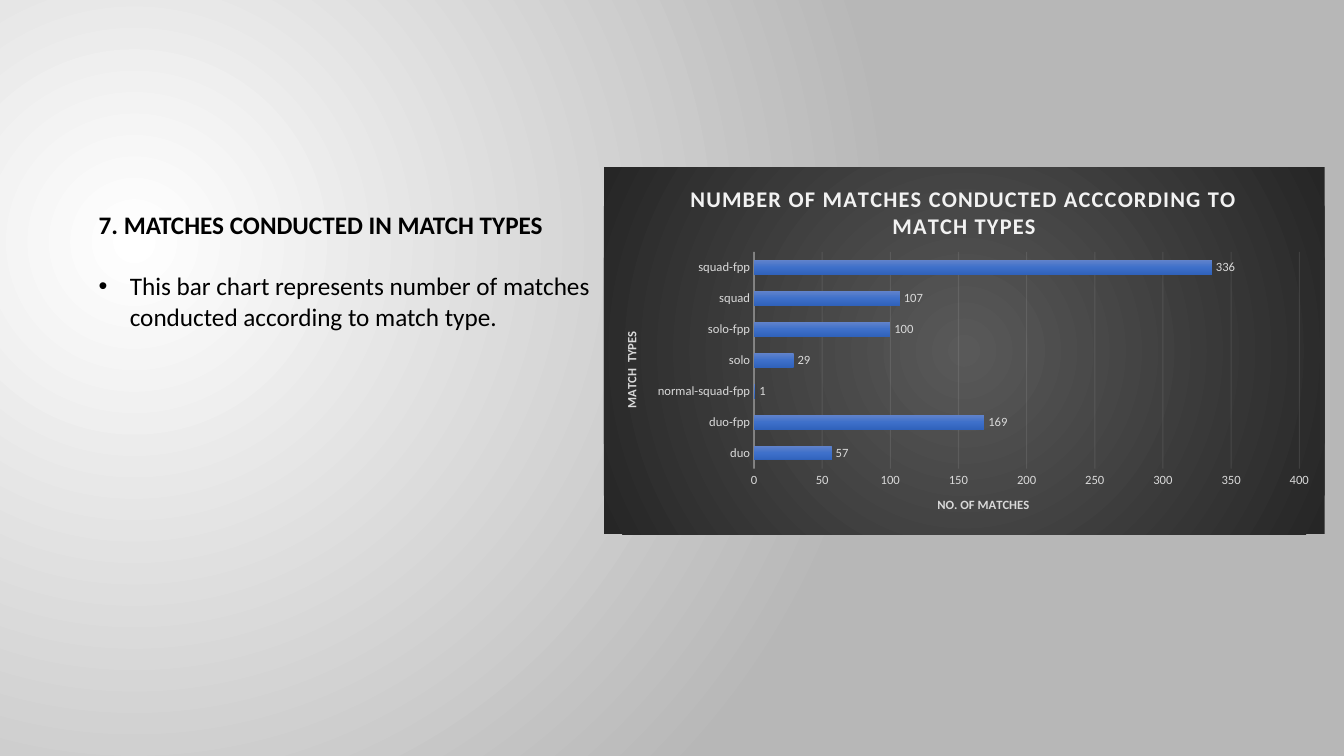
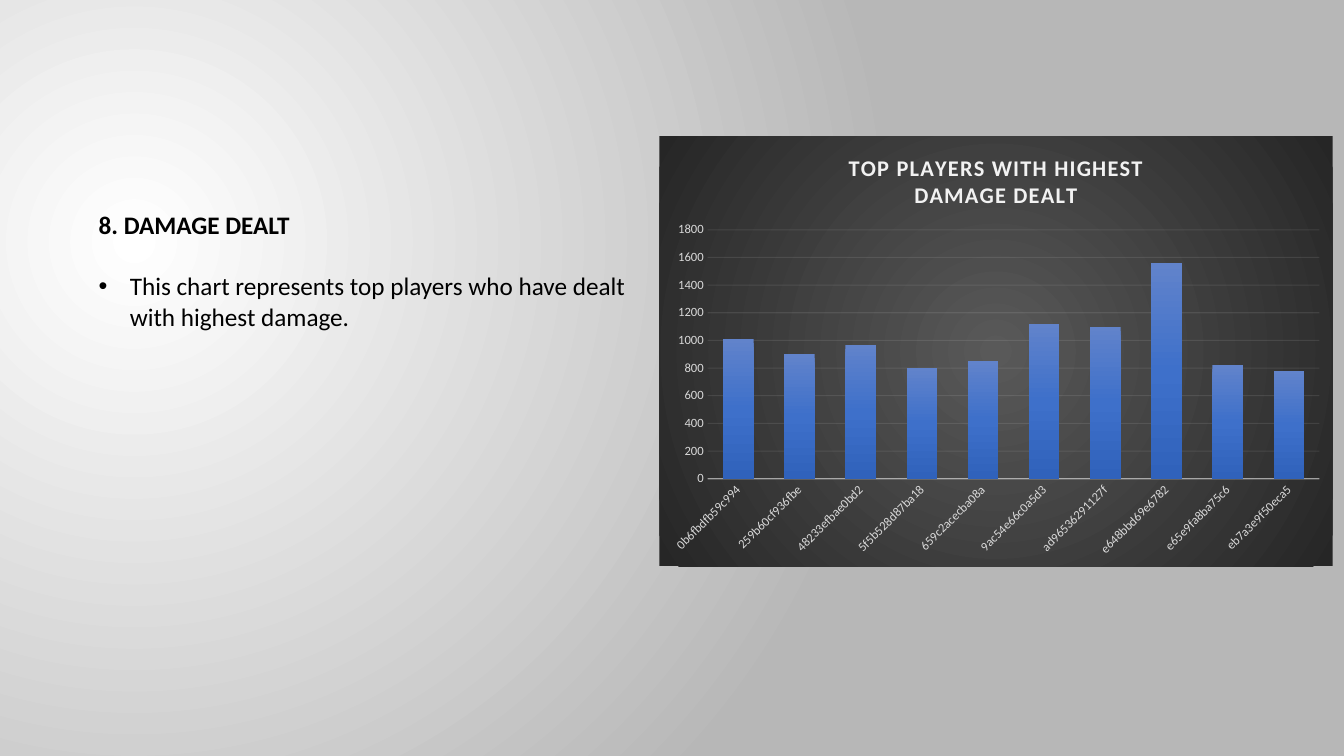
from dataclasses import dataclass
from typing import Any, Optional

import pptx
import pptx.chart.data
import pptx.dml.color
import pptx.enum.chart
import pptx.oxml
import pptx.oxml.ns
import pptx.util

Kind = pptx.enum.chart.XL_CHART_TYPE
NS = pptx.oxml.ns.nsdecls("a", "c")
qn = pptx.oxml.ns.qn


@dataclass(frozen=True)
class Theme:
    font: str = "Calibri"
    ink: str = "000000"
    pale: str = "F2F2F2"
    label: str = "D9D9D9"
    page: tuple = ((0, "FFFFFF"), (100, "B7B7B7"))
    panel: tuple = ((0, "595959"), (100, "262626"))
    bar: tuple = ((0, "6183CB"), (50, "3E70CA"), (100, "3062BB"))
    body: int = 18
    head: int = 16
    small: int = 9


@dataclass(frozen=True)
class Box:
    col: float
    row: float
    cols: float
    rows: float


@dataclass(frozen=True)
class Plot:
    kind: Any
    box: Box
    inner: Box
    title: str
    names: tuple
    values: tuple
    top: int
    step: int
    gap: int
    lap: int
    tags: bool = False
    turn: Optional[int] = None
    titles: tuple = ()


@dataclass(frozen=True)
class Page:
    head: str
    note: str
    plot: Plot


THEME = Theme()
COLS, ROWS = 133.33, 75
CELL = pptx.util.Inches(0.1)
TEXT = Box(8.8, 20.3, 58, 13.1)

PAGES = (
    Page(
        "7. MATCHES CONDUCTED IN MATCH TYPES",
        "This bar chart represents number of matches conducted according to match type.",
        Plot(
            Kind.BAR_CLUSTERED, Box(59.9, 16.6, 71.5, 36.4), Box(14.9, 8.4, 54.1, 21.5),
            "NUMBER OF MATCHES CONDUCTED ACCCORDING TO MATCH TYPES",
            ("duo", "duo-fpp", "normal-squad-fpp", "solo", "solo-fpp", "squad", "squad-fpp"),
            (57, 169, 1, 29, 100, 107, 336),
            top=400, step=50, gap=115, lap=-20, tags=True,
            titles=("MATCH  TYPES", "NO. OF MATCHES"),
        ),
    ),
    Page(
        "8. DAMAGE DEALT",
        "This chart represents top players who have dealt with highest damage.",
        Plot(
            Kind.COLUMN_CLUSTERED, Box(65.4, 13.5, 66.8, 42.7), Box(4.8, 9.3, 60.7, 24.7),
            "TOP PLAYERS WITH HIGHEST\nDAMAGE DEALT",
            ("0b6fbdfb59c994", "259b60cf936fbe", "48233efbae0bd2", "5f5b528d87ba18",
             "659c2acecba08a", "9ac54e66c0a5d3", "ad96536291127f", "e648bbd69e6782",
             "e65e9fa8ba75c6", "eb7a3e9f50eca5"),
            (1010, 900, 970, 800, 850, 1120, 1100, 1560, 820, 780),
            top=1800, step=200, gap=100, lap=-24, turn=-45,
        ),
    ),
)


def rgb(code: str) -> Any:
    return pptx.dml.color.RGBColor.from_string(code)


def place(box: Box) -> list:
    return [round(n * CELL) for n in (box.col, box.row, box.cols, box.rows)]


def blend(stops: tuple, rect: Optional[tuple] = None) -> Any:
    marks = "".join(
        f'<a:gs pos="{pos * 1000}"><a:srgbClr val="{code}"/></a:gs>' for pos, code in stops
    )
    way = '<a:lin ang="5400000" scaled="0"/>'
    if rect:
        sides = " ".join(f'{side}="{n * 1000}"' for side, n in zip("ltrb", rect))
        way = f'<a:path path="circle"><a:fillToRect {sides}/></a:path>'
    return pptx.oxml.parse_xml(
        f'<a:gradFill {NS} rotWithShape="1"><a:gsLst>{marks}</a:gsLst>{way}</a:gradFill>'
    )


def style(font: Any, size: int, color: str, bold: bool = False) -> None:
    font.name = THEME.font
    font.size = pptx.util.Pt(size)
    font.bold = bold
    font.color.rgb = rgb(color)


def write(frame: Any, text: str, *, size: int = THEME.body, color: str = THEME.ink,
          bold: bool = False, dot: bool = False, before: float = 0,
          track: int = 0, turn: Optional[int] = None) -> None:
    for line in text.split("\n"):
        last = frame.paragraphs[-1]
        para = frame.add_paragraph() if last.runs else last
        if before:
            para.space_before = pptx.util.Pt(before)
        if dot:
            props = para._p.get_or_add_pPr()
            dent = pptx.util.Inches(0.31)
            props.set("marL", str(dent))
            props.set("indent", str(-dent))
            props.append(pptx.oxml.parse_xml(f'<a:buFont {NS} typeface="Arial"/>'))
            props.append(pptx.oxml.parse_xml(f'<a:buChar {NS} char="•"/>'))
        run = para.add_run()
        run.text = line
        style(run.font, size, color, bold)
        if track:
            run.font._element.set("spc", str(track))
    if turn is not None:
        frame._txBody.bodyPr.set("rot", str(turn * 60000))
        frame._txBody.bodyPr.set("vert", "horz")


def rule(line: Any, width: float, alpha: int) -> None:
    line.width = pptx.util.Pt(width)
    line.color.rgb = rgb(THEME.pale)
    shade = line._ln.find(".//" + qn("a:srgbClr"))
    shade.append(pptx.oxml.parse_xml(f'<a:alpha {NS} val="{alpha * 1000}"/>'))


def frame_plot(chart: Any, plot: Plot) -> None:
    area = chart._chartSpace.find(".//" + qn("c:plotArea"))
    for old in area.findall(qn("c:layout")):
        area.remove(old)
    box, inner = plot.box, plot.inner
    shares = {
        "x": inner.col / box.cols, "y": inner.row / box.rows,
        "w": inner.cols / box.cols, "h": inner.rows / box.rows,
    }
    modes = '<c:xMode val="edge"/><c:yMode val="edge"/>'
    sizes = "".join(f'<c:{key} val="{n:.4f}"/>' for key, n in shares.items())
    area.insert(0, pptx.oxml.parse_xml(
        f'<c:layout {NS}><c:manualLayout><c:layoutTarget val="inner"/>'
        f"{modes}{sizes}</c:manualLayout></c:layout>"
    ))


def draw_axes(chart: Any, plot: Plot) -> None:
    names, scale = chart.category_axis, chart.value_axis
    for axis in (names, scale):
        axis.major_tick_mark = axis.minor_tick_mark = pptx.enum.chart.XL_TICK_MARK.NONE
        style(axis.tick_labels.font, THEME.small, THEME.label)
    names.has_major_gridlines = False
    rule(names.format.line, 1, 54)
    scale.format.line.fill.background()
    scale.minimum_scale, scale.maximum_scale = 0, plot.top
    scale.major_unit = plot.step
    scale.has_major_gridlines = True
    rule(scale.major_gridlines.format.line, 0.75, 10)
    for axis, text, turn in zip((names, scale), plot.titles, (-90, 0)):
        write(axis.axis_title.text_frame, text, size=THEME.small,
              color=THEME.label, bold=True, turn=turn)
    if plot.turn is not None:
        props = names._element.find(qn("c:txPr")).find(qn("a:bodyPr"))
        props.set("rot", str(plot.turn * 60000))
        props.set("vert", "horz")


def draw_plot(slide: Any, plot: Plot) -> None:
    data = pptx.chart.data.CategoryChartData()
    data.categories = plot.names
    data.add_series("Series 1", plot.values)
    chart = slide.shapes.add_chart(plot.kind, *place(plot.box), data).chart
    style(chart.font, 10, THEME.ink)
    chart.has_legend = False
    chart.has_title = True
    write(chart.chart_title.text_frame, plot.title, size=THEME.head,
          color=THEME.pale, bold=True, track=100)

    back = pptx.oxml.parse_xml(f"<c:spPr {NS}><a:ln><a:noFill/></a:ln></c:spPr>")
    back.insert(0, blend(THEME.panel, (50, 50, 50, 50)))
    chart._chartSpace.find(qn("c:chart")).addnext(back)

    group = chart.plots[0]
    group.vary_by_categories = False
    group.gap_width, group.overlap = plot.gap, plot.lap
    bars = group.series[0]
    bars.invert_if_negative = False
    bars._element.get_or_add_spPr().append(blend(THEME.bar))
    if plot.tags:
        tags = bars.data_labels
        tags.show_value = True
        tags.position = pptx.enum.chart.XL_LABEL_POSITION.OUTSIDE_END
        style(tags.font, THEME.small, THEME.label)
    draw_axes(chart, plot)
    frame_plot(chart, plot)


def draw_page(deck: Any, page: Page) -> None:
    slide = deck.slides.add_slide(deck.slide_layouts[6])
    frame = slide.shapes.add_textbox(*place(TEXT)).text_frame
    frame.word_wrap = True
    write(frame, page.head, bold=True)
    write(frame, page.note, dot=True, before=22)
    draw_plot(slide, page.plot)


def paint_back(deck: Any) -> None:
    master = deck.slide_master
    master.background.fill.solid()
    props = master._element.find(".//" + qn("p:bgPr"))
    props.replace(props[0], blend(THEME.page, (45, 65, 125, 100)))


def main() -> None:
    deck = pptx.Presentation()
    deck.slide_width, deck.slide_height = round(COLS * CELL), ROWS * CELL
    paint_back(deck)
    for page in PAGES:
        draw_page(deck, page)
    deck.save("out.pptx")


if __name__ == "__main__":
    main()
